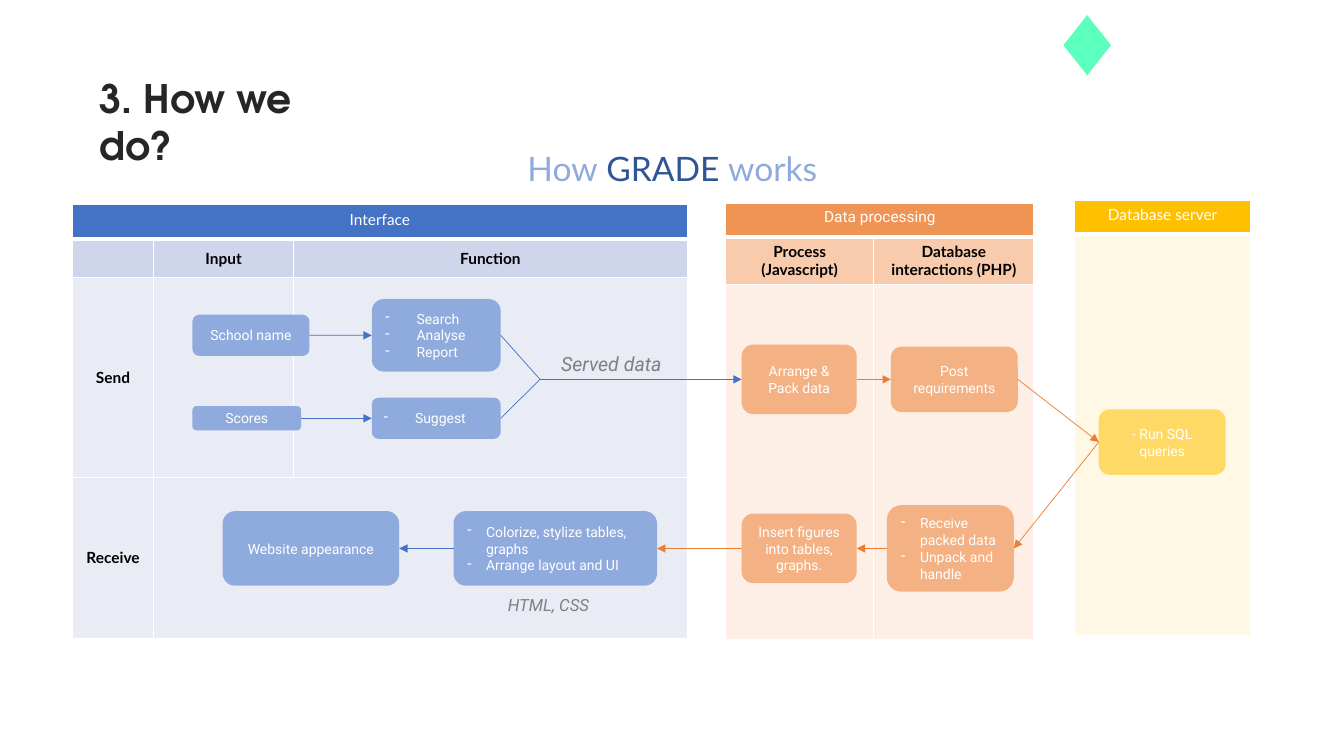
from pptx import Presentation, util as u
from pptx.dml.color import RGBColor
from pptx.enum import shapes, text
from pptx.oxml.ns import qn
from lxml import etree

WHITE = RGBColor(0xFF, 0xFF, 0xFF)
BLACK = RGBColor(0, 0, 0)
INK = RGBColor(0x26, 0x26, 0x26)
GREY = RGBColor(0x80, 0x80, 0x80)
MINT = RGBColor(0x5C, 0xFF, 0xBE)
BLUE = RGBColor(0x44, 0x72, 0xC4)
NAVY = RGBColor(0x2F, 0x55, 0x97)
SOFT_BLUE = RGBColor(0x8F, 0xAA, 0xDC)
BLUE_HEAD = RGBColor(0xCF, 0xD5, 0xEA)
BLUE_BODY = RGBColor(0xE9, 0xEB, 0xF5)
ORANGE = RGBColor(0xED, 0x7D, 0x31)
ORANGE_TOP = RGBColor(0xF0, 0x94, 0x56)
ORANGE_HEAD = RGBColor(0xF8, 0xCB, 0xAD)
ORANGE_BODY = RGBColor(0xFD, 0xEF, 0xE6)
SOFT_ORANGE = RGBColor(0xF4, 0xB1, 0x83)
GOLD = RGBColor(0xFF, 0xC0, 0x00)
GOLD_BODY = RGBColor(0xFF, 0xF8, 0xE5)
SOFT_GOLD = RGBColor(0xFF, 0xD9, 0x66)

TABLES = [
    dict(at=(1.83, 5.16), cols=[2.04, 3.53, 9.92], rows=[0.86, 0.97, 5.05, 4.04],
         cells=[["Interface", "", ""], ["", "Input", "Function"], ["Send", "", ""], ["Receive", "", ""]],
         fills=[BLUE, BLUE_HEAD, BLUE_BODY, BLUE_BODY],
         merges=[((0, 0), (0, 2)), ((3, 1), (3, 2))], top_font="Lato", open_after=None),
    dict(at=(18.29, 5.13), cols=[3.73, 4.04], rows=[0.84, 1.19, 4.8, 4.14],
         cells=[["Data processing", ""], ["Process (Javascript)", "Database interactions (PHP)"],
                ["", ""], ["", ""]],
         fills=[ORANGE_TOP, ORANGE_HEAD, ORANGE_BODY, ORANGE_BODY],
         merges=[((0, 0), (0, 1))], top_font="Roboto", open_after=2),
    dict(at=(27.08, 5.05), cols=[4.44], rows=[0.84, 10.13],
         cells=[["Database server"], [""]], fills=[GOLD, GOLD_BODY],
         merges=[], top_font="Lato", open_after=None),
]

MIDDLES = {"search": 8.45, "suggest": 10.54, "relay": 9.56, "query": 11.14, "receive": 13.82}
BOXES = {
    "school": (4.85, "search", 2.95, 1.04, SOFT_BLUE, ["School name"], 0),
    "scores": (4.85, "suggest", 2.74, 0.61, SOFT_BLUE, ["Scores"], 0),
    "search": (9.37, "search", 3.25, 1.83, SOFT_BLUE, ["Search", "Analyse", "Report"], 0.79),
    "suggest": (9.37, "suggest", 3.25, 1.04, SOFT_BLUE, ["Suggest"], 0.79),
    "arrange": (18.69, "relay", 2.9, 1.75, SOFT_ORANGE, ["Arrange & Pack data"], 0),
    "post": (22.45, "relay", 3.2, 1.65, SOFT_ORANGE, ["Post requirements"], 0),
    "query": (27.69, "query", 3.2, 1.65, SOFT_GOLD, ["- Run SQL queries"], 0),
    "unpack": (22.35, "receive", 3.2, 2.18, SOFT_ORANGE, ["Receive packed data", "Unpack and handle"], 0.48),
    "insert": (18.69, "receive", 2.9, 1.75, SOFT_ORANGE, ["Insert figures into tables, graphs."], 0),
    "style": (11.43, "receive", 5.13, 1.88, SOFT_BLUE,
              ["Colorize, stylize tables, graphs", "Arrange layout and UI"], 0.48),
    "website": (5.61, "receive", 4.45, 1.88, SOFT_BLUE, ["Website appearance"], 0),
}

JOIN = (13.61, MIDDLES["relay"])
LEFT, RIGHT = 1, 3
FLOWS = [
    (("school", RIGHT), ("search", LEFT), BLUE, True),
    (("scores", RIGHT), ("suggest", LEFT), BLUE, True),
    (("arrange", RIGHT), ("post", LEFT), ORANGE, True),
    (("post", RIGHT), ("query", LEFT), ORANGE, True),
    (("query", LEFT), ("unpack", RIGHT), ORANGE, True),
    (("unpack", LEFT), ("insert", RIGHT), ORANGE, True),
    (("insert", LEFT), ("style", RIGHT), ORANGE, True),
    (("style", LEFT), ("website", RIGHT), BLUE, True),
    (None, ("arrange", LEFT), BLUE, True),
    (("suggest", RIGHT), None, BLUE, False),
    (("search", RIGHT), None, BLUE, False),
]

NOTE = dict(name="Roboto", italic=True)
LABELS = [
    ((12.07, 14.86, 3.51, 0.76), "CENTER", dict(NOTE, size=u.Pt(12)), [("HTML, CSS", GREY)]),
    ((13.89, 8.74, 3.45, 0.86), "LEFT", dict(NOTE, size=u.Pt(14)), [("Served data", GREY)]),
    ((12.78, 3.61, 8.33, 1.27), "CENTER", dict(name="Lato", size=u.Pt(24)),
     [("How", SOFT_BLUE), (" GRADE ", NAVY), ("works", SOFT_BLUE)]),
]


def cm(values):
    return [u.Cm(v) for v in values]


def add_run(p, words, color, **formats):
    r = p.add_run()
    r.text = words
    r.font.color.rgb = color
    for key, value in formats.items():
        setattr(r.font, key, value)


def set_border(cell, side, width):
    ln = etree.SubElement(cell._tc.get_or_add_tcPr(), qn("a:" + side), w=str(u.Pt(width or 1)))
    if width:
        fill = etree.SubElement(ln, qn("a:solidFill"))
        etree.SubElement(fill, qn("a:srgbClr"), val=str(WHITE))
    else:
        etree.SubElement(ln, qn("a:noFill"))


def add_grid(s, at, cols, rows, cells, fills, merges, top_font, open_after):
    frame = s.shapes.add_table(len(rows), len(cols), *cm([*at, sum(cols), sum(rows)]))
    table = frame.table
    for col, width in zip(table.columns, cols):
        col.width = u.Cm(width)
    for i, height in enumerate(rows):
        table.rows[i].height = u.Cm(height)
        for j, words in enumerate(cells[i]):
            cell = table.cell(i, j)
            top = i == 0
            cell.vertical_anchor = text.MSO_ANCHOR.TOP if top else text.MSO_ANCHOR.MIDDLE
            p = cell.text_frame.paragraphs[0]
            p.alignment = text.PP_ALIGN.CENTER
            if words:
                add_run(p, words, WHITE if top else BLACK, size=u.Pt(11),
                        name=top_font if top else "Lato", bold=not top)
            else:
                etree.SubElement(p._p, qn("a:endParaRPr"), sz="1100")
            above = 3 if i == 1 else 0 if open_after is not None and i == open_after + 1 else 1
            below = 3 if top else 0 if i == open_after else 1
            for side, width in dict(lnL=1, lnR=1, lnT=above, lnB=below).items():
                set_border(cell, side, width)
            cell.fill.solid()
            cell.fill.fore_color.rgb = fills[i]
    for first, last in merges:
        table.cell(*first).merge(table.cell(*last))


def add_plain(s, kind, at, color):
    sp = s.shapes.add_shape(kind, *cm(at))
    sp.shadow.inherit = False
    sp.fill.solid()
    sp.fill.fore_color.rgb = color
    sp.line.fill.background()
    return sp


def add_box(s, x, row, w, h, color, lines, indent):
    sp = add_plain(s, shapes.MSO_SHAPE.ROUNDED_RECTANGLE, (x, MIDDLES[row] - h / 2, w, h), color)
    tf = sp.text_frame
    tf.vertical_anchor = text.MSO_ANCHOR.MIDDLE
    for i, words in enumerate(lines):
        p = tf.add_paragraph() if i else tf.paragraphs[0]
        p.alignment = text.PP_ALIGN.LEFT if indent else text.PP_ALIGN.CENTER
        add_run(p, words, WHITE, size=u.Pt(10), name="Roboto")
        if indent:
            pPr = p._p.get_or_add_pPr()
            pPr.set("marL", str(u.Cm(indent)))
            pPr.set("indent", str(-u.Cm(indent)))
            etree.SubElement(pPr, qn("a:buChar"), char="-")
    return sp


def add_flow(s, boxes, start, end, color, arrow):
    c = s.shapes.add_connector(shapes.MSO_CONNECTOR.STRAIGHT, *cm(JOIN + JOIN))
    if start:
        c.begin_connect(boxes[start[0]], start[1])
    if end:
        c.end_connect(boxes[end[0]], end[1])
    c.line.color.rgb = color
    c.line.width = u.Pt(0.5)
    if arrow:
        etree.SubElement(c.line._get_or_add_ln(), qn("a:tailEnd"), type="triangle")
    etree.SubElement(c._element.spPr, qn("a:effectLst"))


def add_label(s, at, align, formats, runs):
    tf = s.shapes.add_textbox(*cm(at)).text_frame
    tf.word_wrap = True
    p = tf.paragraphs[0]
    p.alignment = text.PP_ALIGN[align]
    for words, color in runs:
        add_run(p, words, color, **formats)


def main():
    prs = Presentation()
    prs.slide_width, prs.slide_height = cm([33.87, 19.05])
    s = prs.slides.add_slide(prs.slide_layouts[5])
    title = s.shapes.title
    title.left, title.top, title.width, title.height = cm([2.26, 1.75, 6.83, 1.45])
    tf = title.text_frame
    for key, value in dict(word_wrap=True, auto_size=text.MSO_AUTO_SIZE.NONE,
                           vertical_anchor=text.MSO_ANCHOR.TOP).items():
        setattr(tf, key, value)
    p = tf.paragraphs[0]
    p.alignment = text.PP_ALIGN.LEFT
    add_run(p, "3. How we do?", INK, size=u.Pt(28), name="TeX Gyre Adventor", bold=True)

    for grid in TABLES:
        add_grid(s, **grid)
    boxes = {name: add_box(s, *box) for name, box in BOXES.items()}
    for flow in FLOWS:
        add_flow(s, boxes, *flow)
    for label in LABELS:
        add_label(s, *label)
    add_plain(s, shapes.MSO_SHAPE.DIAMOND, (26.8, 0.38, 1.2, 1.52), MINT)
    prs.save("out.pptx")


if __name__ == "__main__":
    main()
